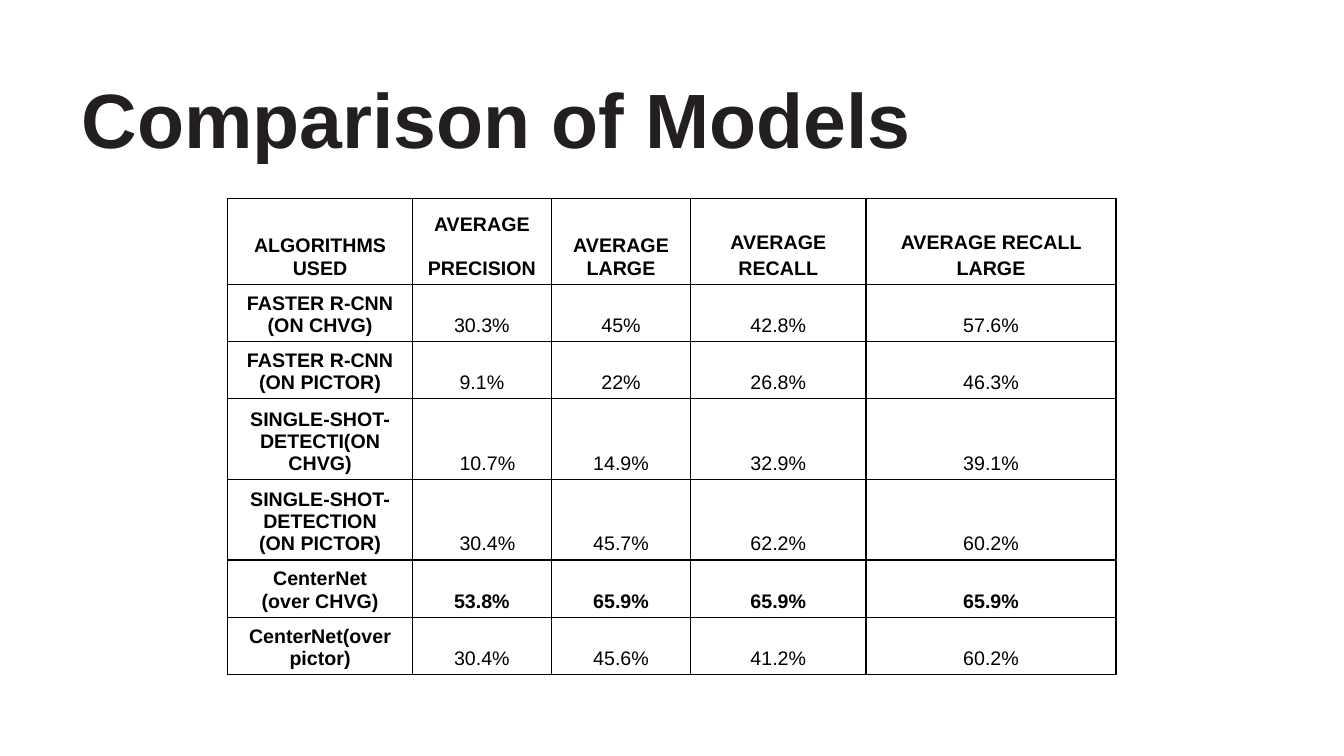
from dataclasses import dataclass
from lxml.etree import SubElement
from pptx import Presentation
from pptx.dml.color import RGBColor
from pptx.enum.text import MSO_ANCHOR as Anchor, PP_ALIGN as Align
from pptx.oxml import parse_xml
from pptx.oxml.ns import nsdecls, qn
from pptx.util import Inches, Pt


@dataclass(frozen=True)
class Theme:
    font: str = "Arial"
    title_color: str = "231F20"
    ink: str = "000000"
    title_size: int = 55
    cell_size: int = 14
    border: int = 1


THEME = Theme()

HEADER = ["ALGORITHMS USED", "AVERAGE\nPRECISION", "AVERAGE LARGE",
          "AVERAGE RECALL", "AVERAGE RECALL LARGE"]
RESULTS = [
    ["FASTER R-CNN\n(ON CHVG)", "30.3%", "45%", "42.8%", "57.6%"],
    ["FASTER R-CNN\n(ON PICTOR)", "9.1%", "22%", "26.8%", "46.3%"],
    ["SINGLE-SHOT-DETECTI(ON CHVG)", "10.7%", "14.9%", "32.9%", "39.1%"],
    ["SINGLE-SHOT-DETECTION\n(ON PICTOR)", "30.4%", "45.7%", "62.2%", "60.2%"],
    ["CenterNet\n(over CHVG)", "53.8%", "65.9%", "65.9%", "65.9%"],
    ["CenterNet(over pictor)", "30.4%", "45.6%", "41.2%", "60.2%"],
]
COLUMN_WIDTHS = [1.83, 1.38, 1.38, 1.74, 2.48]
ROW_HEIGHTS = [0.85, 0.55, 0.55, 0.78, 0.78, 0.55, 0.55]
BEST_ROW = 5
SHIFTED_CELLS = {(3, 1), (4, 1)}


def style_paragraph(paragraph, size, color, bold, **layout):
    for name, value in layout.items():
        setattr(paragraph, name, value)
    font_values = {"name": THEME.font, "size": Pt(size), "bold": bold}
    for name, value in font_values.items():
        setattr(paragraph.font, name, value)
    paragraph.font.color.rgb = RGBColor.from_string(color)


def draw_borders(cell):
    properties = cell._tc.get_or_add_tcPr()
    for position, side in enumerate(("lnL", "lnR", "lnT", "lnB")):
        line = parse_xml(f'<a:{side} {nsdecls("a")} w="{Pt(THEME.border)}"/>')
        fill = SubElement(line, qn("a:solidFill"))
        SubElement(fill, qn("a:srgbClr"), val=THEME.ink)
        properties.insert(position, line)


def add_title(slide, left, top, width, height):
    frame = slide.shapes.add_textbox(
        Inches(left), Inches(top), Inches(width), Inches(height)).text_frame
    frame.word_wrap = True
    frame.vertical_anchor = Anchor.MIDDLE
    frame.text = "Comparison of Models"
    style_paragraph(frame.paragraphs[0], THEME.title_size, THEME.title_color,
                    True, line_spacing=0.9)


def fill_cell(cell, row, column, text):
    cell.text = text
    cell.vertical_anchor = Anchor.BOTTOM
    if (row, column) in SHIFTED_CELLS:
        cell.margin_left = Inches(0.21)
    cell.fill.background()
    draw_borders(cell)

    bold = row in (0, BEST_ROW) or column == 0
    # Names and the first three headings are set tighter than the values
    tight = column == 0 or (row == 0 and column < 3)
    for paragraph in cell.text_frame.paragraphs:
        style_paragraph(paragraph, THEME.cell_size, THEME.ink, bold,
                        alignment=Align.CENTER,
                        line_spacing=1.0 if tight else 1.15)
    if row == 0 and "\n" in text:
        paragraph.space_before = Pt(15.5)


def add_results_table(slide, left, top):
    rows = [HEADER] + RESULTS
    table = slide.shapes.add_table(
        len(rows), len(HEADER), Inches(left), Inches(top),
        Inches(sum(COLUMN_WIDTHS)), Inches(sum(ROW_HEIGHTS))).table
    table.first_row = table.horz_banding = False
    for column, width in zip(table.columns, COLUMN_WIDTHS):
        column.width = Inches(width)
    for row, height in zip(table.rows, ROW_HEIGHTS):
        row.height = Inches(height)
    for r, texts in enumerate(rows):
        for c, text in enumerate(texts):
            fill_cell(table.cell(r, c), r, c, text)


def main():
    deck = Presentation()
    deck.slide_width, deck.slide_height = Inches(13.33), Inches(7.5)
    slide = deck.slides.add_slide(deck.slide_layouts[6])
    add_title(slide, 0.71, 0.75, 9.54, 0.95)
    add_results_table(slide, 2.26, 1.97)
    deck.save("out.pptx")


if __name__ == "__main__":
    main()
